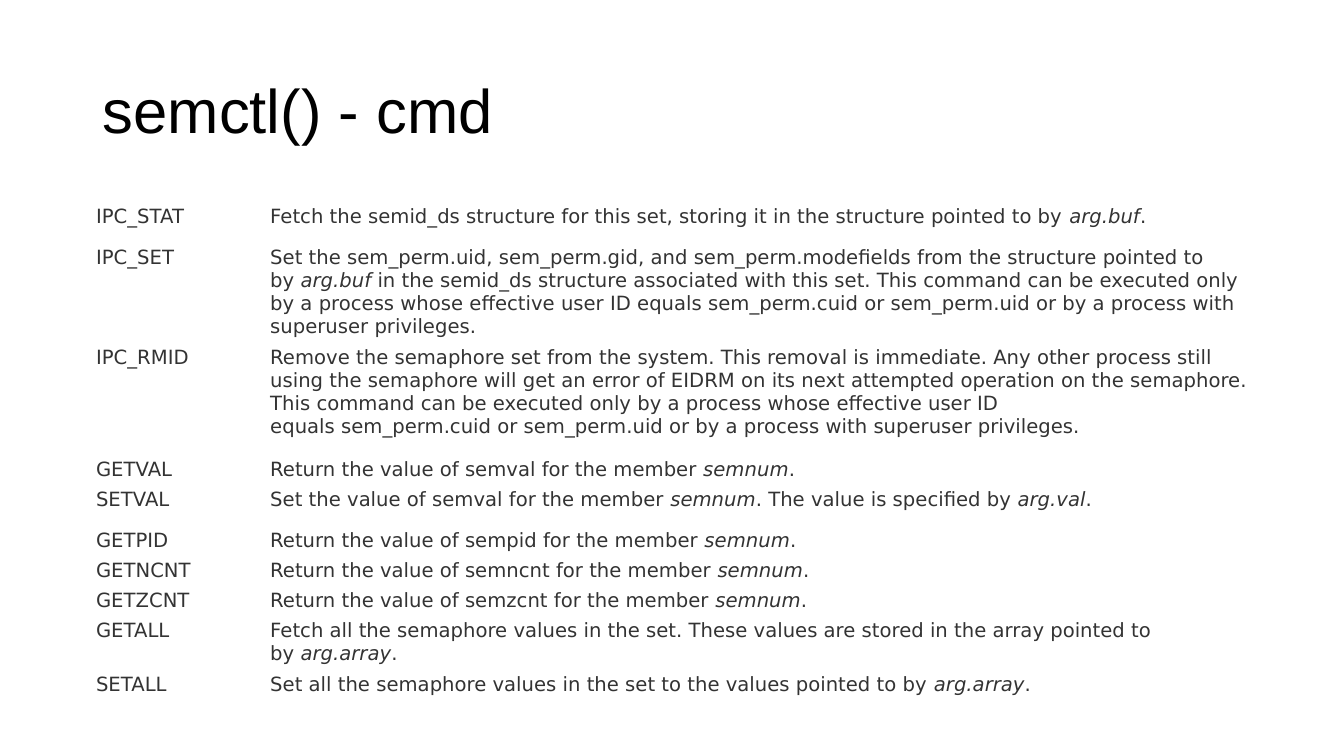
from pptx import Presentation
from pptx.dml.color import RGBColor
from pptx.enum.text import MSO_ANCHOR
from pptx.util import Cm, Pt

BLACK = RGBColor(0x00, 0x00, 0x00)
DARK_GRAY = RGBColor(0x33, 0x33, 0x33)

LEFT, WIDTH = 2.34, 29.21
NAME_WIDTH = 4.39
CELL_INSET = 0.08
SHORT, TALL = 0.74, 1.04

# Command, row height in cm, description: *italic*, ~ for a no-break space
COMMANDS = [
    ("IPC_STAT", TALL, "Fetch the~semid_ds~structure for this set, storing it in the "
     "structure pointed to by~*arg.buf*."),
    ("IPC_SET", 2.51, "Set the~sem_perm.uid,~sem_perm.gid, and~sem_perm.modefields from the "
     "structure pointed to by~*arg.buf*~in the~semid_ds~structure associated with this set. "
     "This command can be executed only by a process whose effective user ID "
     "equals~sem_perm.cuid~or~sem_perm.uid~or by a process with superuser privileges."),
    ("IPC_RMID", 2.82, "Remove the semaphore set from the system. This removal is immediate. "
     "Any other process still using the semaphore will get an error of~EIDRM~on its next "
     "attempted operation on the semaphore. This command can be executed only by a process "
     "whose effective user ID equals~sem_perm.cuid~or~sem_perm.uid~or by a process with "
     "superuser privileges."),
    ("GETVAL", SHORT, "Return the value of~semval~for the member~*semnum*."),
    ("SETVAL", TALL, "Set the value of~semval~for the member~*semnum*. "
     "The value is specified by~*arg.val*."),
    ("GETPID", SHORT, "Return the value of~sempid~for the member~*semnum*."),
    ("GETNCNT", SHORT, "Return the value of~semncnt~for the member~*semnum*."),
    ("GETZCNT", SHORT, "Return the value of~semzcnt~for the member~*semnum*."),
    ("GETALL", TALL, "Fetch all the semaphore values in the set. These values are stored "
     "in the array pointed to by~*arg.array*."),
    ("SETALL", SHORT, "Set all the semaphore values in the set to the values "
     "pointed to by~*arg.array*."),
]


class SlideBuilder:
    TITLE_FONT = {"name": "Arial", "size": Pt(44)}
    BODY_FONT = {"name": "DejaVu Sans", "size": Pt(14)}

    def __init__(self, slide):
        self.slide = slide

    def add_runs(self, paragraph, text, font, color):
        """Add runs to the paragraph; every second part between asterisks is italic."""
        for index, part in enumerate(text.replace("~", chr(160)).split("*")):
            if not part:
                continue
            run = paragraph.add_run()
            run.text = part
            for name, value in {**font, "italic": index % 2 == 1}.items():
                setattr(run.font, name, value)
            run.font.color.rgb = color

    def title(self, text, top, height):
        box = self.slide.shapes.add_textbox(Cm(LEFT), Cm(top), Cm(WIDTH), Cm(height))
        frame = box.text_frame
        frame.word_wrap = True
        frame.vertical_anchor = MSO_ANCHOR.MIDDLE
        paragraph = frame.paragraphs[0]
        paragraph.line_spacing = 0.9
        self.add_runs(paragraph, text, self.TITLE_FONT, BLACK)

    def cell(self, cell, text):
        cell.fill.background()
        for side in ("left", "top", "right", "bottom"):
            setattr(cell, f"margin_{side}", Cm(CELL_INSET))
        self.add_runs(cell.text_frame.paragraphs[0], text, self.BODY_FONT, DARK_GRAY)

    def command_table(self, commands, top):
        height = sum(row_height for _, row_height, _ in commands)
        table = self.slide.shapes.add_table(
            len(commands), 2, Cm(LEFT), Cm(top), Cm(WIDTH), Cm(height)).table
        table.first_row = table.horz_banding = False
        table.columns[0].width = Cm(NAME_WIDTH)
        table.columns[1].width = Cm(WIDTH - NAME_WIDTH)
        for row, (command, row_height, description) in zip(table.rows, commands):
            row.height = Cm(row_height)
            for cell, text in zip(row.cells, (command, description)):
                self.cell(cell, text)


def main():
    presentation = Presentation()
    presentation.slide_width = Cm(33.87)
    presentation.slide_height = Cm(19.05)
    builder = SlideBuilder(presentation.slides.add_slide(presentation.slide_layouts[6]))
    builder.title("semctl() - cmd", top=1.02, height=3.68)
    builder.command_table(COMMANDS, top=5.08)
    presentation.save("out.pptx")


if __name__ == "__main__":
    main()
